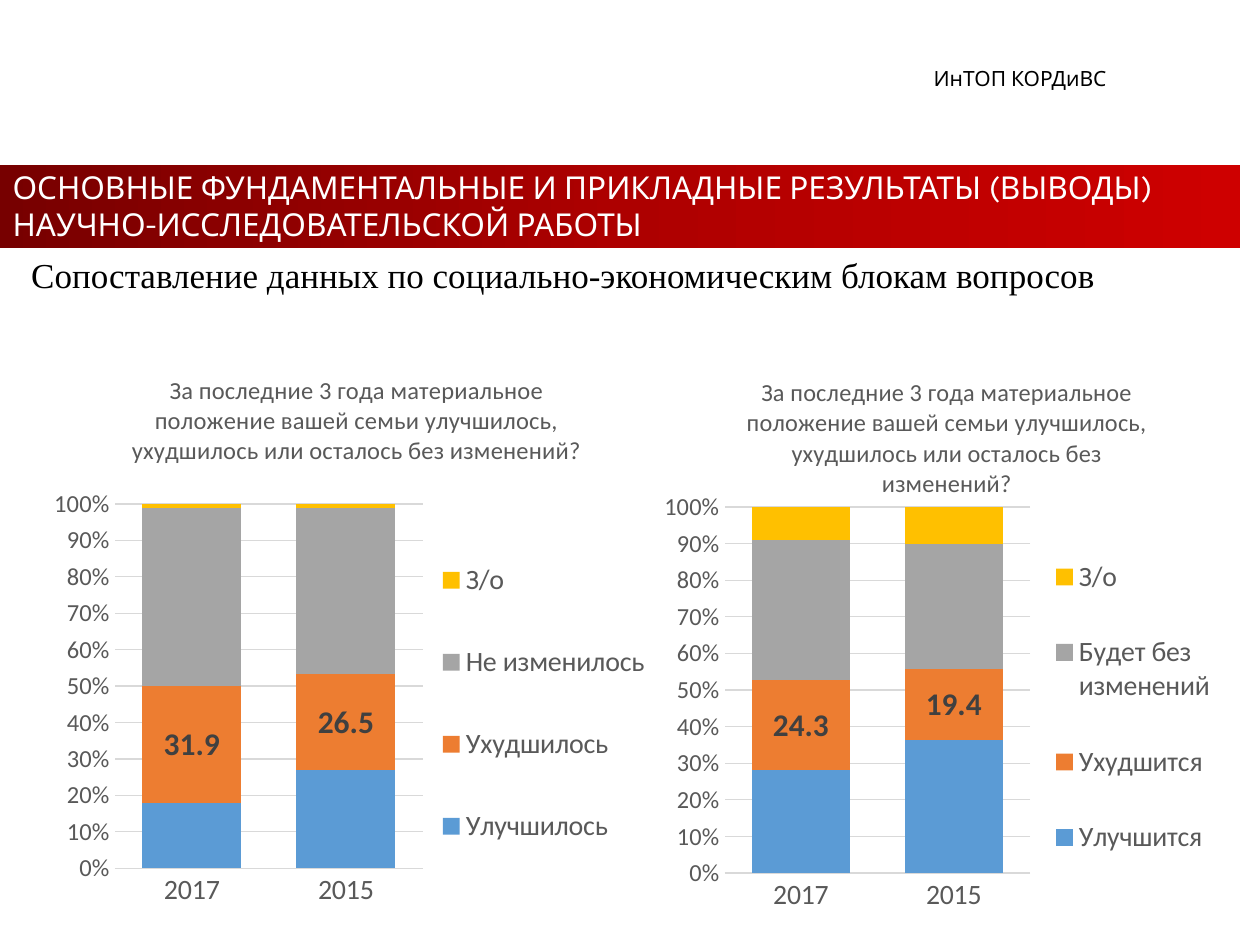
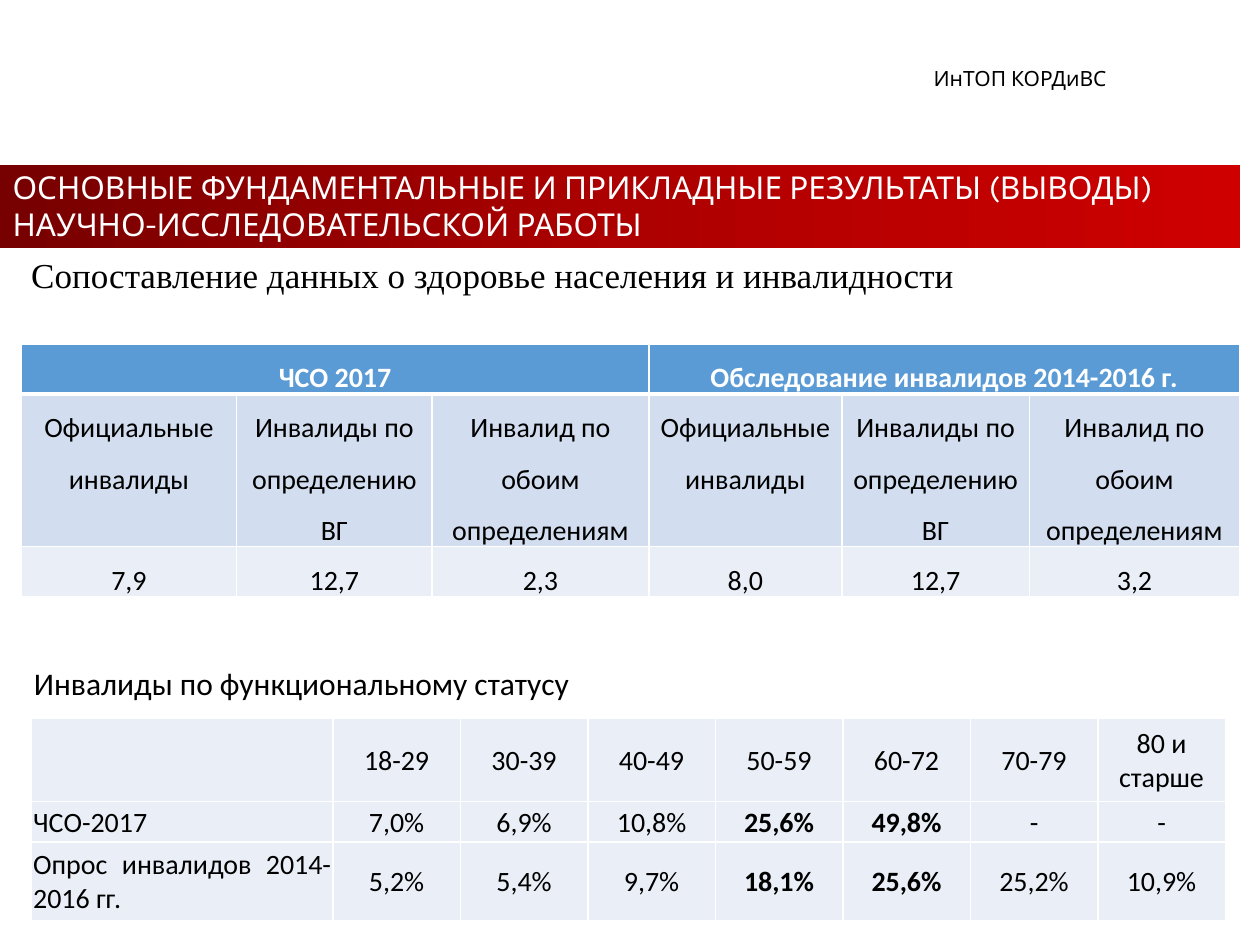
from copy import deepcopy
from dataclasses import dataclass

from pptx import Presentation
from pptx import util as u
from pptx.chart.data import CategoryChartData
from pptx.dml.color import RGBColor
from pptx.enum import chart as ch, shapes, text
from pptx.oxml import parse_xml
from pptx.oxml.ns import nsdecls, qn


@dataclass(frozen=True)
class Theme:
    heading: str = "Karla"
    serif: str = "Times New Roman"
    body: str = "Calibri"
    black: str = "000000"
    white: str = "FFFFFF"
    gray: str = "595959"
    label: str = "404040"
    grid: str = "D9D9D9"
    head: str = "5B9BD5"
    subhead: str = "D2DEEF"
    cell: str = "EAEFF7"
    band: tuple = ((0, "770000"), (0.5, "AD0000"), (1, "CE0000"))
    series: tuple = ("5B9BD5", "ED7D31", "A5A5A5", "FFC000")
    small: int = 12
    axis: int = 14
    table: int = 16
    title: int = 18
    subtitle: int = 20


T = Theme()
LEFT, CENTER, JUSTIFY = text.PP_ALIGN.LEFT, text.PP_ALIGN.CENTER, text.PP_ALIGN.JUSTIFY
TOP, MIDDLE = text.MSO_ANCHOR.TOP, text.MSO_ANCHOR.MIDDLE

ORG = "ИнТОП КОРДиВС"
TITLE = "ОСНОВНЫЕ ФУНДАМЕНТАЛЬНЫЕ И ПРИКЛАДНЫЕ РЕЗУЛЬТАТЫ (ВЫВОДЫ) НАУЧНО-ИССЛЕДОВАТЕЛЬСКОЙ РАБОТЫ"
QUESTION = "За последние 3 года материальное положение вашей семьи улучшилось, ухудшилось или осталось без изменений?"
YEARS = ("2017", "2015")
CHARTS = [
    dict(box=(1.09, 7.06, 12.19, 11.48), plot=(0.1, 0.27, 0.51, 0.64),
         legend=(0.63, 0.29, 0.36, 0.66),
         series=[("Улучшилось", (18, 27)), ("Ухудшилось", (31.9, 26.5)),
                 ("Не изменилось", (49, 46)), ("З/о", (1, 1))]),
    dict(box=(13.39, 7.11, 11.3, 11.53), plot=(0.1, 0.27, 0.55, 0.64),
         legend=(0.68, 0.29, 0.31, 0.66),
         series=[("Улучшится", (28, 36)), ("Ухудшится", (24.3, 19.4)),
                 ("Будет без изменений", (38, 34)), ("З/о", (9, 10))]),
]
LABELLED = 1

SURVEYS = ["ЧСО 2017", "Обследование инвалидов 2014-2016 г."]
DEFINITIONS = ["Официальные инвалиды", "Инвалиды по определению ВГ", "Инвалид по обоим определениям"]
SHARES = ["7,9", "12,7", "2,3", "8,0", "12,7", "3,2"]
CAPTION = "Инвалиды по функциональному статусу"
AGES = [
    ["", "18-29", "30-39", "40-49", "50-59", "60-72", "70-79", "80 и старше"],
    ["ЧСО-2017", "7,0%", "6,9%", "10,8%", "25,6%", "49,8%", "-", "-"],
    ["Опрос инвалидов 2014-2016 гг.", "5,2%", "5,4%", "9,7%", "18,1%", "25,6%", "25,2%", "10,9%"],
]
BOLD_AGES = (4, 5)


def rgb(color):
    return RGBColor.from_string(color)


def cm(values):
    return [u.Cm(v) for v in values]


def style(font, size, color, name=T.body, bold=False):
    font.size, font.name, font.bold = u.Pt(size), name, bold
    font.color.rgb = rgb(color)


def write(tf, content, size, color, name=T.body, align=LEFT, bold=False, spacing=None):
    p = tf.paragraphs[0]
    p.alignment, p.line_spacing = align, spacing
    p.space_before = u.Pt(0)
    r = p.add_run()
    r.text = content
    style(r.font, size, color, name, bold)


def frame(tf, anchor=TOP, wrap=True):
    tf.word_wrap, tf.vertical_anchor = wrap, anchor
    tf.auto_size = text.MSO_AUTO_SIZE.SHAPE_TO_FIT_TEXT


def add_text(s, box, content, size, color, name=T.body, anchor=TOP, wrap=True, **kw):
    tf = s.shapes.add_textbox(*cm(box)).text_frame
    frame(tf, anchor, wrap)
    write(tf, content, size, color, name, **kw)


def add_slide(prs, subtitle):
    s = prs.slides.add_slide(prs.slide_layouts[5])
    add_text(s, (0.38, 4.98, 21.97, 1.12), subtitle, T.subtitle, T.black, T.serif, MIDDLE)

    band = s.shapes.add_shape(shapes.MSO_SHAPE.RECTANGLE, *cm((0, 3.33, 25, 1.68)))
    band.shadow.inherit = False
    band.line.fill.background()
    band.fill.gradient()
    band.fill.gradient_angle = 0
    stops = band.element.find(".//" + qn("a:gsLst"))
    stops.append(deepcopy(stops[-1]))
    for stop, (position, color) in zip(band.fill.gradient_stops, T.band):
        stop.position = position
        stop.color.rgb = rgb(color)

    title = s.shapes.title
    title.left, title.top, title.width, title.height = cm((0, 3.25, 25, 1.8))
    frame(title.text_frame)
    write(title.text_frame, TITLE, T.title, T.white, T.heading)
    band.element.addnext(title.element)
    add_text(s, (18.57, 1.19, 6.15, 0.76), ORG, T.small, T.black, T.heading)
    return s


def layout(box, inner=False):
    target = '<c:layoutTarget val="inner"/>' if inner else ""
    modes = "".join(f'<c:{k}Mode val="edge"/>' for k in "xy")
    sizes = "".join(f'<c:{k} val="{v}"/>' for k, v in zip("xywh", box))
    return parse_xml(f'<c:layout {nsdecls("c")}><c:manualLayout>{target}{modes}{sizes}'
                     "</c:manualLayout></c:layout>")


def place(parent, new, index):
    old = parent.find(qn("c:layout"))
    if old is not None:
        parent.remove(old)
    parent.insert(index, new)


def add_stacked_chart(s, box, plot, legend, series):
    data = CategoryChartData(number_format="General")
    data.categories = YEARS
    for name, values in series:
        data.add_series(name, values)
    chart = s.shapes.add_chart(ch.XL_CHART_TYPE.COLUMN_STACKED_100, *cm(box), data).chart
    style(chart.font, T.axis, T.black)
    chart.has_title = True
    write(chart.chart_title.text_frame, QUESTION, T.axis, T.gray, align=CENTER)
    chart.chart_title.include_in_layout = False

    columns = chart.plots[0]
    columns.gap_width, columns.overlap, columns.vary_by_categories = 56, 100, False
    for item, color in zip(columns.series, T.series):
        item.format.fill.solid()
        item.format.fill.fore_color.rgb = rgb(color)
    labels = columns.series[LABELLED].data_labels
    labels.show_value = True
    labels.position = ch.XL_LABEL_POSITION.CENTER
    labels.number_format, labels.number_format_is_linked = "0.0", False
    style(labels.font, T.title, T.label, bold=True)

    cat, val = chart.category_axis, chart.value_axis
    for axis, size in ((cat, T.table), (val, T.axis)):
        axis.major_tick_mark = axis.minor_tick_mark = ch.XL_TICK_MARK.NONE
        style(axis.tick_labels.font, size, T.gray)
    val.minimum_scale, val.maximum_scale, val.major_unit = 0, 1, 0.1
    val.tick_labels.number_format, val.tick_labels.number_format_is_linked = "0%", False
    val.format.line.fill.background()
    val.has_major_gridlines = True
    for line in (cat.format.line, val.major_gridlines.format.line):
        line.color.rgb, line.width = rgb(T.grid), u.Pt(0.75)

    chart.has_legend = True
    chart.legend.position = ch.XL_LEGEND_POSITION.RIGHT
    chart.legend.include_in_layout = False
    style(chart.legend.font, T.table, T.gray)
    root = chart.plots[0].chart.element if hasattr(chart.plots[0].chart, "element") else chart.element
    place(root.find(".//" + qn("c:plotArea")), layout(plot, True), 0)
    place(root.find(".//" + qn("c:legend")), layout(legend), 1)


def format_cell(cell, fill, margins, anchor=MIDDLE, **widths):
    cell.fill.solid()
    cell.fill.fore_color.rgb = rgb(fill)
    cell.vertical_anchor = anchor
    cell.margin_left, cell.margin_top, cell.margin_right, cell.margin_bottom = cm(margins)
    props = cell._tc.get_or_add_tcPr()
    for i, side in enumerate("LRTB"):
        width = u.Pt(widths.get(side, 1))
        props.insert(i, parse_xml(
            f'<a:ln{side} {nsdecls("a")} w="{width}"><a:solidFill>'
            f'<a:srgbClr val="{T.white}"/></a:solidFill></a:ln{side}>'))


def add_grid(s, left, top, cols, rows):
    table = s.shapes.add_table(len(rows), len(cols), *cm((left, top, sum(cols), sum(rows)))).table
    table.first_row = table.horz_banding = False
    for column, width in zip(table.columns, cols):
        column.width = u.Cm(width)
    for row, height in zip(table.rows, rows):
        row.height = u.Cm(height)
    return table


def add_definitions_table(s):
    table = add_grid(s, 0.43, 6.93, (4.34, 3.94, 4.37, 3.89, 3.78, 4.24), (0.97, 3.07, 1.02))
    span = len(DEFINITIONS)
    header = [SURVEYS[c // span] if c % span == 0 else "" for c in range(2 * span)]
    looks = [(T.head, MIDDLE, {"B": 3}), (T.subhead, TOP, {"T": 3}), (T.cell, MIDDLE, {})]
    for i, (values, (fill, anchor, widths)) in enumerate(zip((header, DEFINITIONS * 2, SHARES), looks)):
        for j, value in enumerate(values):
            cell = table.cell(i, j)
            format_cell(cell, fill, (0.18, 0, 0.18, 0), anchor, **widths)
            if value:
                write(cell.text_frame, value, T.table, T.black if i else T.white,
                      align=CENTER, bold=i == 0, spacing=1.5)
    for start in (0, span):
        table.cell(0, start).merge(table.cell(0, start + span - 1))


def add_ages_table(s):
    table = add_grid(s, 0.64, 14.48, [6.07] + [2.57] * 7, (1.68, 0.81, 1.6))
    for i, values in enumerate(AGES):
        for j, value in enumerate(values):
            cell = table.cell(i, j)
            format_cell(cell, T.cell, (0.03, 0.03, 0.03, 0))
            if value:
                write(cell.text_frame, value, T.table, T.black,
                      align=CENTER if j else JUSTIFY, bold=i > 0 and j in BOLD_AGES)


prs = Presentation()
prs.slide_width, prs.slide_height = cm((25.4, 19.05))

s = add_slide(prs, "Сопоставление данных по социально-экономическим блокам вопросов")
for chart in CHARTS:
    add_stacked_chart(s, **chart)

s = add_slide(prs, "Сопоставление данных о здоровье населения и инвалидности")
add_definitions_table(s)
add_ages_table(s)
add_text(s, (0.38, 12.88, 11.4, 1.42), CAPTION, T.title, T.black,
         wrap=False, align=CENTER, spacing=1.5)

prs.save("out.pptx")
